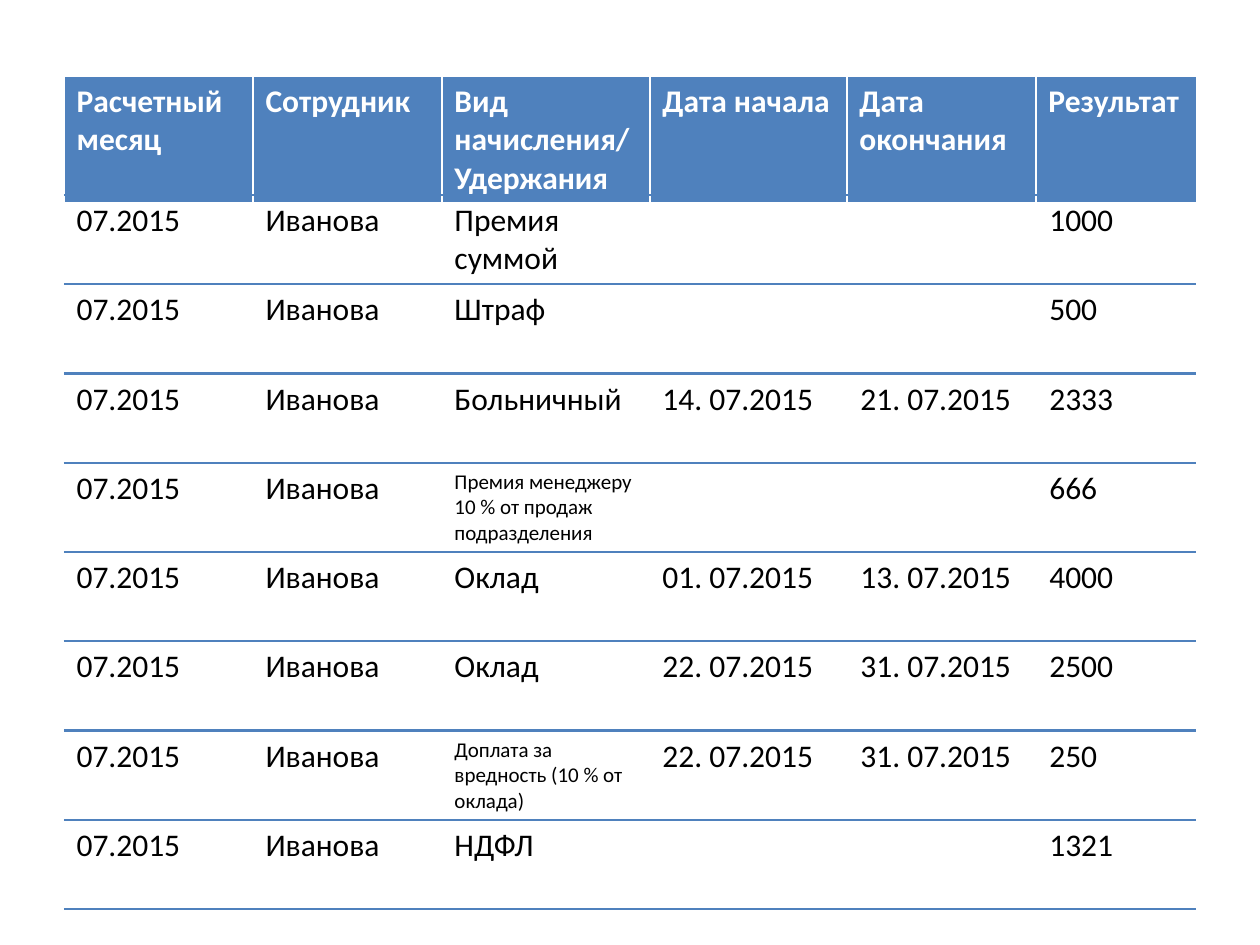
from lxml.etree import SubElement
from pptx import Presentation
from pptx.dml.color import RGBColor
from pptx.oxml.ns import qn
from pptx.util import Pt

SCALE = 914400 // 126
COLORS = {"blue": "4F81BD", "white": "FFFFFF", "black": "000000"}
NO_STYLE = "{2D5ABB26-0587-4C30-8999-92F81FD0307C}"
LEFT = 64
FIRST_TOP = 195
ROW_PITCH = 89.3
ROW_HEIGHT = 89
HEADER_TOP = 76
HEADER_HEIGHT = 126
HEADER_WIDTHS = [189, 189, 208, 197, 189, 161]
ROW_WIDTHS = [189, 189, 208, 198, 189, 159]
HEADER_BORDERS = {"lnL": 1, "lnR": 1, "lnT": 1, "lnB": 3}
ROW_BORDERS = {"lnT": 1, "lnB": 1}

HEADINGS = ["Расчетный месяц", "Сотрудник", "Вид начисления/Удержания",
            "Дата начала", "Дата окончания", "Результат"]
PAYMENTS = [
    ("Премия суммой", "", "", "1000", 18),
    ("Штраф", "", "", "500", 18),
    ("Больничный", "14. 07.2015", "21. 07.2015", "2333", 18),
    ("Премия менеджеру 10 % от продаж подразделения", "", "", "666", 12),
    ("Оклад", "01. 07.2015", "13. 07.2015", "4000", 18),
    ("Оклад", "22. 07.2015", "31. 07.2015", "2500", 18),
    ("Доплата за вредность (10 % от оклада)", "22. 07.2015", "31. 07.2015", "250", 12),
    ("НДФЛ", "", "", "1321", 18),
]


def write_cell(cell, text, size=18, color="black", bold=False, fill=None,
               borders=ROW_BORDERS, border_color="blue"):
    paragraph = cell.text_frame.paragraphs[0]
    paragraph.font.size = Pt(size)
    if text:
        run = paragraph.add_run()
        run.text = text
        run.font.name = "Calibri"
        run.font.size = Pt(size)
        run.font.bold = bold
        run.font.color.rgb = RGBColor.from_string(COLORS[color])
    properties = cell._tc.get_or_add_tcPr()
    for side, width in borders.items():
        line = SubElement(properties, qn(f"a:{side}"), w=str(Pt(width)))
        solid = SubElement(line, qn("a:solidFill"))
        SubElement(solid, qn("a:srgbClr"), val=COLORS[border_color])
    if fill:
        cell.fill.solid()
        cell.fill.fore_color.rgb = RGBColor.from_string(COLORS[fill])
    else:
        cell.fill.background()


def add_row_table(slide, top, height, widths):
    frame = slide.shapes.add_table(1, len(widths), LEFT * SCALE, top * SCALE,
                                   sum(widths) * SCALE, height * SCALE)
    table = frame.table
    table.first_row = False
    table.horz_banding = False
    table._tbl.tblPr.find(qn("a:tableStyleId")).text = NO_STYLE
    for column, width in zip(table.columns, widths):
        column.width = width * SCALE
    return table


presentation = Presentation()
presentation.slide_width = 1260 * SCALE
presentation.slide_height = 945 * SCALE
slide = presentation.slides.add_slide(presentation.slide_layouts[6])

header = add_row_table(slide, HEADER_TOP, HEADER_HEIGHT, HEADER_WIDTHS)
for column, heading in enumerate(HEADINGS):
    write_cell(header.cell(0, column), heading, color="white", bold=True,
               fill="blue", borders=HEADER_BORDERS, border_color="white")

for index, (kind, start, end, result, kind_size) in enumerate(PAYMENTS):
    top = FIRST_TOP + round(index * ROW_PITCH)
    table = add_row_table(slide, top, ROW_HEIGHT, ROW_WIDTHS)
    values = ["07.2015", "Иванова", kind, start, end, result]
    for column, value in enumerate(values):
        write_cell(table.cell(0, column), value, size=kind_size if column == 2 else 18)

presentation.save("out.pptx")
